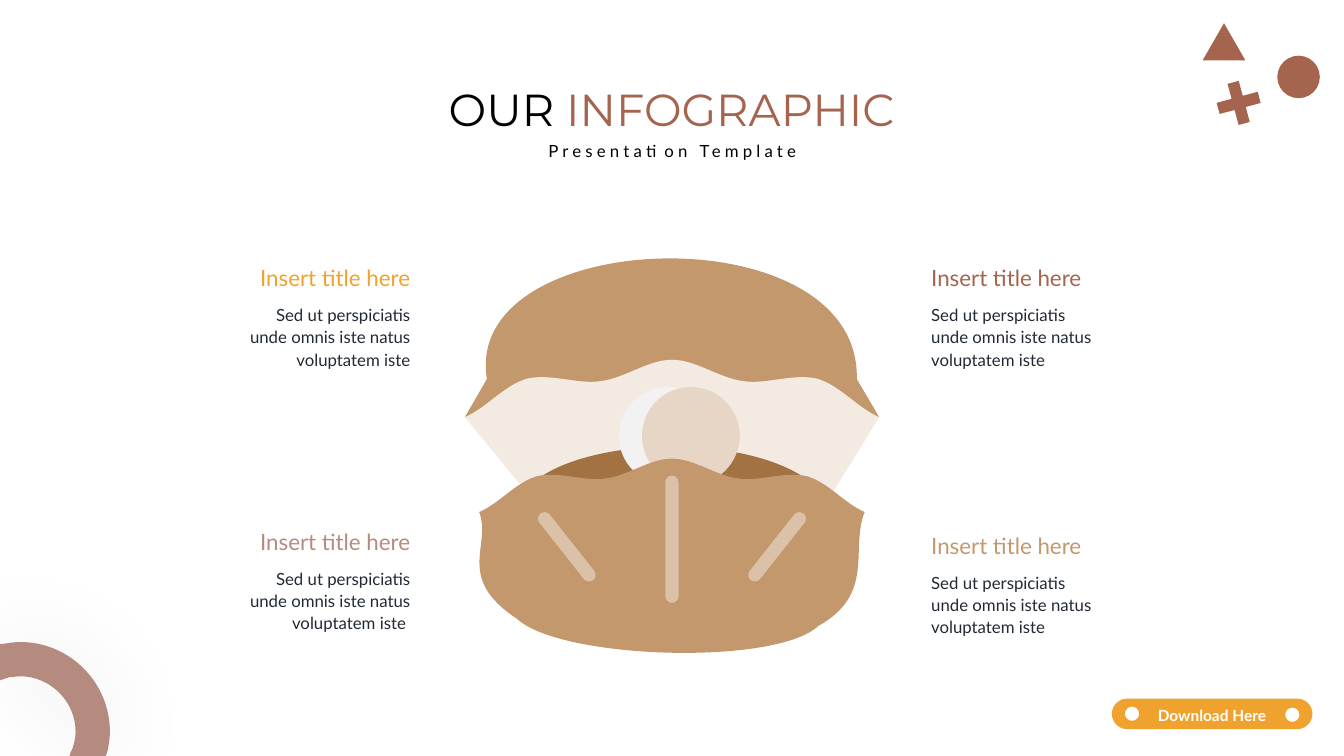
from math import hypot
from lxml.etree import SubElement
from pptx import Presentation
from pptx.dml.color import RGBColor
from pptx.enum.shapes import MSO_SHAPE
from pptx.enum.text import MSO_ANCHOR, MSO_AUTO_SIZE, PP_ALIGN
from pptx.oxml.ns import qn
from pptx.util import Pt

COLORS = {
    "black": "000000", "white": "FFFFFF", "ink": "222A35", "amber": "F0A22E",
    "rust": "A5644E", "rose": "B58B80", "tan": "C3986D", "cream": "F3EAE2",
    "brown": "A27242", "pale": "F2F2F2", "pearl": "E7D6C5", "ridge": "DBC1A7",
}
CENTER = 480
ROUND = 0.55
RIM_HALF = [(0, 0), (16.9, 0), (33.5, 13), (50.5, 15.2), (67, 18), (86.6, 9.4),
            (103.9, 13.6), (120.4, 18.6), (132.6, 34.6), (148, 41)]

presentation = Presentation()
presentation.slide_width = Pt(960)
presentation.slide_height = Pt(540)
slide = presentation.slides.add_slide(presentation.slide_layouts[0])


def paint(shape, color):
    shape.shadow.inherit = False
    shape.fill.solid()
    shape.fill.fore_color.rgb = RGBColor.from_string(COLORS[color])
    shape.line.fill.background()
    return shape


def draw_outline(box, contours, color):
    left, top, width, height = box
    builder = slide.shapes.build_freeform(Pt(left), Pt(top))
    builder.add_line_segments([(Pt(left + width), Pt(top)),
                               (Pt(left + width), Pt(top + height))])
    shape = builder.convert_to_shape()
    outline = shape._element.spPr.find(".//" + qn("a:path"))
    for child in list(outline):
        outline.remove(child)
    for start, *segments in contours:
        commands = [("a:moveTo", [start])]
        for segment in segments:
            if len(segment) == 1:
                commands.append(("a:lnTo", segment))
            else:
                commands += [("a:cubicBezTo", segment[i:i + 3])
                             for i in range(0, len(segment), 3)]
        for tag, points in commands:
            command = SubElement(outline, qn(tag))
            for x, y in points:
                SubElement(command, qn("a:pt"), x=str(Pt(x - left)), y=str(Pt(y - top)))
        SubElement(outline, qn("a:close"))
    return paint(shape, color)


rims = []
for crest, scale in ((257, 1), (327.6, 0.93)):
    right = [(CENTER + x * scale, crest + y * scale) for x, y in RIM_HALF]
    left = [(2 * CENTER - x, y) for x, y in reversed(right)]
    rims.append(left + right[1:])
upper_rim, lower_rim = rims

capsules = {}
for name, x1, y1, x2, y2, radius in (
        ("middle ridge", 480, 344.5, 480, 425.9, 4.7),
        ("right ridge", 571, 370.5, 539.2, 410.7, 4.7),
        ("left ridge", 389, 370.5, 420.8, 410.7, 4.7),
        ("button", 805.1, 509.9, 926.6, 509.9, 10.9),
        ("left hole", 808.6, 509.8, 808.6, 509.8, 5.1),
        ("right hole", 923.1, 510.5, 923.1, 510.5, 5.1)):
    length = hypot(x2 - x1, y2 - y1)
    along_x, along_y = ((x2 - x1) / length, (y2 - y1) / length) if length else (1, 0)
    ends = []
    for x, y, sign in ((x2, y2, 1), (x1, y1, -1)):
        ends.append([(x + sign * radius * (along * along_x - side * along_y),
                      y + sign * radius * (along * along_y + side * along_x))
                     for along, side in ((0, 1), (ROUND, 1), (1, ROUND), (1, 0),
                                         (1, -ROUND), (ROUND, -1), (0, -1))])
    capsules[name] = [ends[1][-1], ends[0][:1], ends[0][1:], ends[1][:1], ends[1][1:]]

draw_outline((331.9, 184.3, 295.9, 113.8), [[
    (628, 298), [(612, 270.7)], [(614.9, 151.2), (329.8, 160.6), (347.8, 270.7)],
    [(332, 298)]]], "tan")
draw_outline((331.9, 257, 295.9, 103), [[
    upper_rim[0], upper_rim[1:], [(592, 356.4)], [(383, 360)]]], "cream")
draw_outline((375.8, 319, 208.8, 44.6), [[
    (375.8, 350), [(390.2, 331.9), (431.3, 319), (480, 319),
                   (528.5, 319), (569.5, 331.9), (584.6, 350)],
    [(540, 346), (510, 363.6), (480, 363.6), (450, 363.6), (420, 346), (375.8, 350)]]], "brown")
for left, color in ((442.1, "pale"), (458.6, "pearl")):
    paint(slide.shapes.add_shape(MSO_SHAPE.OVAL, Pt(left), Pt(276.5), Pt(69.8), Pt(69.8)), color)
draw_outline((342, 327.6, 275.8, 139), [[lower_rim[0], lower_rim[1:], [
    (607, 392.4), (625.7, 424.1), (584.6, 447.1),
    (553.7, 475.9), (400.3, 470.9), (369.4, 442.1),
    (324.7, 412.6), (351.4, 390.2), lower_rim[0]]]], "tan")
for name, box in (("middle ridge", (475.3, 339.8, 9.4, 90.8)),
                  ("right ridge", (534.5, 365.8, 41.2, 49.6)),
                  ("left ridge", (384.3, 365.8, 41.2, 49.6))):
    draw_outline(box, [capsules[name]], "ridge")

for kind, left, top, width, height, rotation in (
        (MSO_SHAPE.OVAL, 912.4, 39.8, 30.4, 30.4, 0),
        (MSO_SHAPE.ISOSCELES_TRIANGLE, 859, 16.6, 30.6, 26.6, 0),
        (MSO_SHAPE.CROSS, 869.6, 58.3, 30.4, 30.4, 345)):
    ornament = slide.shapes.add_shape(kind, Pt(left), Pt(top), Pt(width), Pt(height))
    paint(ornament, "rust").rotation = rotation
ornament.adjustments[0] = 0.364

ring = draw_outline((0, 458.6, 78.5, 81.4), [[
    (14.4, 458.6),
    [(49.7, 458.6), (78.5, 487.4), (78.5, 522.7), (78.5, 527), (77.8, 531.4), (77, 535.7)],
    [(75.6, 540)], [(49.7, 540)], [(50.4, 537.8)],
    [(52.6, 533.5), (54, 527.8), (54, 522.7), (54, 501.1), (36, 483.1), (14.4, 483.1),
     (11.5, 483.1), (9.4, 483.8), (6.5, 483.8)],
    [(0, 486)], [(0, 460.1)], [(1.4, 460.1)],
    [(5.8, 459.4), (10.1, 458.6), (14.4, 458.6)]]], "rose")
effects = ring._element.spPr.find(qn("a:effectLst"))
glow = SubElement(effects, qn("a:outerShdw"), blurRad=str(Pt(65)), dist="0", dir="0",
                  algn="ctr", rotWithShape="0")
glow_color = SubElement(glow, qn("a:srgbClr"), val=COLORS["black"])
SubElement(glow_color, qn("a:alpha"), val="7000")

draw_outline((794.2, 499, 143.3, 21.8),
             [capsules[name] for name in ("right hole", "left hole", "button")], "amber")

title = slide.shapes.title
subtitle = slide.placeholders[1]
sentence = "Sed ut perspiciatis unde omnis iste natus voluptatem iste"
texts = [
    (title, (272.2, 54.9, 415.4, 46), [("OUR ", "black"), ("INFOGRAPHIC", "rust")],
     "Montserrat", 32, PP_ALIGN.CENTER, 1.0),
    (subtitle, (362.2, 94.3, 236.2, 23), [("Presentation Template", "black")],
     "Lato", 12, PP_ALIGN.CENTER, 1.2),
    (None, (813.9, 498.2, 103.7, 21.6), [("Download Here", "white")],
     "Lato", 11, PP_ALIGN.CENTER, 1.2),
]
for left, width, top, color, align, body in (
        (169.2, 131, 185.2, "amber", PP_ALIGN.RIGHT, sentence),
        (169.2, 131, 373.6, "rose", PP_ALIGN.RIGHT, sentence + " "),
        (658.1, 136.8, 185.2, "rust", PP_ALIGN.LEFT, sentence),
        (658.1, 136.8, 376.2, "tan", PP_ALIGN.LEFT, sentence)):
    heading_left = left + width - 122.4 if align == PP_ALIGN.RIGHT else left
    texts.append((None, (heading_left, top, 122.4, 26.6), [("Insert title here", color)],
                  "Lato", 16, align, 1.0))
    texts.append((None, (left, top + 27.7, width, 54.7), [(body, "ink")],
                  "Lato", 12, align, 1.1))

for shape, box, runs, font_name, size, align, spacing in texts:
    if shape is None:
        shape = slide.shapes.add_textbox(0, 0, 0, 0)
    shape.left, shape.top, shape.width, shape.height = [Pt(value) for value in box]
    frame = shape.text_frame
    frame.word_wrap = size != 16
    frame.auto_size = MSO_AUTO_SIZE.SHAPE_TO_FIT_TEXT
    frame.vertical_anchor = MSO_ANCHOR.TOP
    paragraph = frame.paragraphs[0]
    paragraph.alignment = align
    paragraph.line_spacing = spacing
    paragraph.space_before = Pt(0)
    for text, color in runs:
        run = paragraph.add_run()
        run.text = text
        run.font.name = font_name
        run.font.size = Pt(size)
        run.font.bold = text == "Download Here"
        run.font.color.rgb = RGBColor.from_string(COLORS[color])
        if shape is subtitle:
            run._r.get_or_add_rPr().set("spc", "300")

presentation.save("out.pptx")
